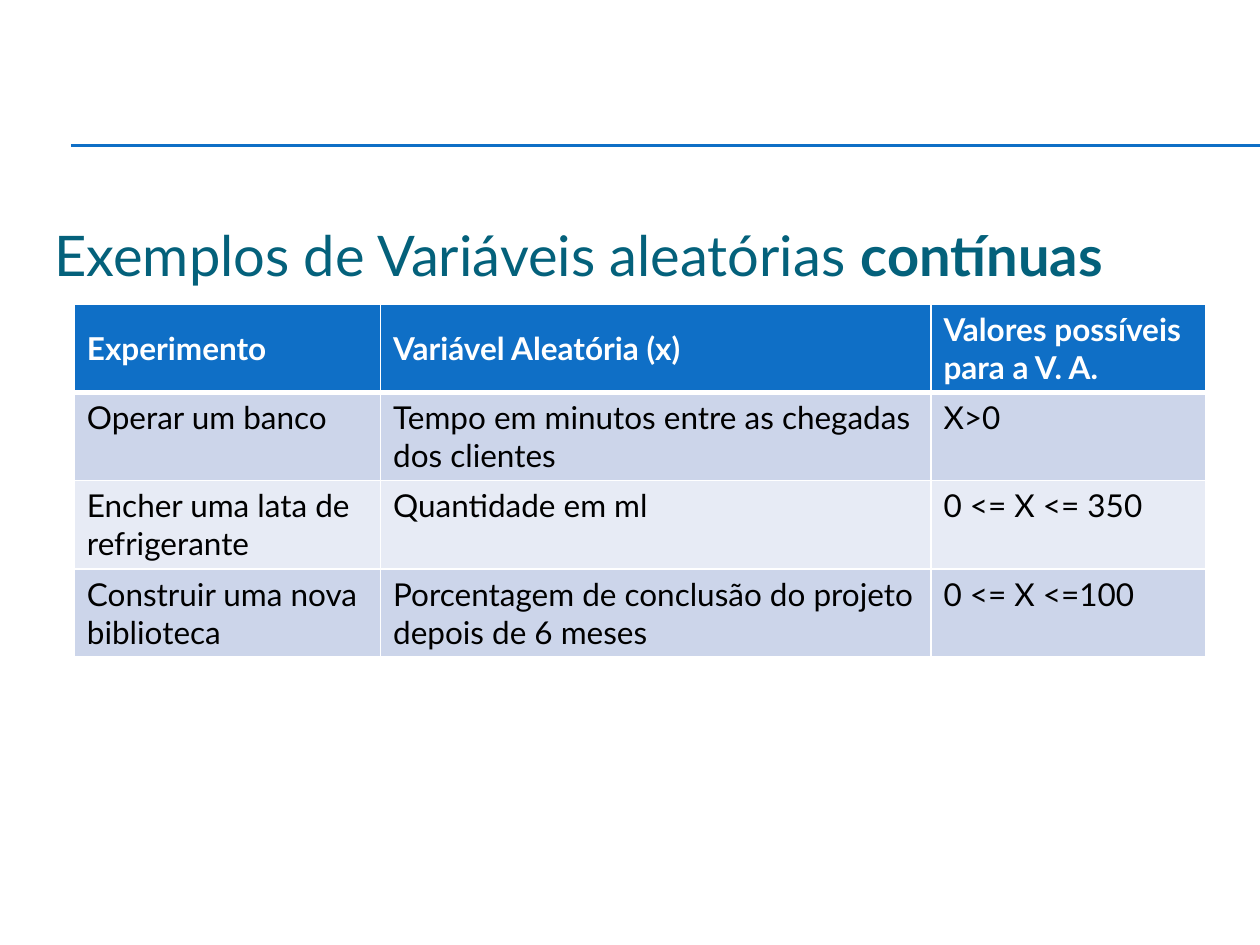
from lxml.etree import SubElement
from pptx import Presentation
from pptx.dml.color import RGBColor
from pptx.enum.shapes import MSO_CONNECTOR
from pptx.enum.text import MSO_ANCHOR
from pptx.oxml.ns import qn
from pptx.util import Pt

FONT = "Lato"
BLUE = RGBColor(0x0F, 0x6F, 0xC6)
TEAL = RGBColor(0x04, 0x61, 0x7B)
WHITE = RGBColor(0xFF, 0xFF, 0xFF)
BLACK = RGBColor(0x00, 0x00, 0x00)
BAND_DARK = RGBColor(0xCC, 0xD5, 0xEA)
BAND_LIGHT = RGBColor(0xE7, 0xEB, 0xF5)

COLUMN_WIDTHS = (175, 314.5, 157)
ROW_HEIGHT = 50
ROWS = (
    ("Experimento", "Variável Aleatória (x)", "Valores possíveis para a V. A."),
    ("Operar um banco", "Tempo em minutos entre as chegadas dos clientes", "X>0"),
    ("Encher uma lata de refrigerante", "Quantidade em ml", "0 <= X <= 350"),
    ("Construir uma nova biblioteca",
     "Porcentagem de conclusão do projeto depois de 6 meses", "0 <= X <=100"),
)


def style_span(span, size, color, bold=False):
    span.font.name = FONT
    span.font.size = Pt(size)
    span.font.color.rgb = color
    span.font.bold = bold


def add_rule(slide, top):
    rule = slide.shapes.add_connector(
        MSO_CONNECTOR.STRAIGHT, Pt(40.5), Pt(top), Pt(720), Pt(top))
    rule.line.color.rgb = BLUE
    rule.line.width = Pt(0.75)
    SubElement(rule.element.spPr, qn("a:effectLst"))


def add_heading(slide):
    box = slide.shapes.add_textbox(Pt(24), Pt(122.5), Pt(684), Pt(356.5))
    box.text_frame.word_wrap = True
    para = box.text_frame.paragraphs[0]
    for text, bold in (("Exemplos de Variáveis aleatórias ", False), ("contínuas", True)):
        span = para.add_run()
        span.text = text
        style_span(span, 32, TEAL, bold)


def set_borders(cell, bottom_width, top_width):
    properties = cell._tc.get_or_add_tcPr()
    widths = {"a:lnL": 1, "a:lnR": 1, "a:lnT": top_width, "a:lnB": bottom_width}
    for position, (tag, width) in enumerate(widths.items()):
        border = SubElement(properties, qn(tag), w=str(Pt(width)))
        fill = SubElement(border, qn("a:solidFill"))
        SubElement(fill, qn("a:srgbClr"), val=str(WHITE))
        # Borders come before the cell fill
        properties.insert(position, border)


def fill_cell(cell, text, row):
    header = row == 0
    cell.text_frame.text = text
    style_span(cell.text_frame.paragraphs[0].runs[0], 18,
               WHITE if header else BLACK, bold=header)
    cell.vertical_anchor = MSO_ANCHOR.MIDDLE if header else MSO_ANCHOR.TOP
    cell.fill.solid()
    cell.fill.fore_color.rgb = BLUE if header else BAND_DARK if row % 2 else BAND_LIGHT
    set_borders(cell, bottom_width=3 if header else 1, top_width=3 if row == 1 else 1)


def add_examples_table(slide):
    table = slide.shapes.add_table(
        len(ROWS), len(COLUMN_WIDTHS), Pt(42.5), Pt(173.75),
        Pt(sum(COLUMN_WIDTHS)), Pt(ROW_HEIGHT * len(ROWS))).table
    for column, width in zip(table.columns, COLUMN_WIDTHS):
        column.width = Pt(width)
    for row, texts in enumerate(ROWS):
        table.rows[row].height = Pt(ROW_HEIGHT)
        for column, text in enumerate(texts):
            fill_cell(table.cell(row, column), text, row)


def main():
    deck = Presentation()
    deck.slide_width, deck.slide_height = Pt(720), Pt(540)
    slide = deck.slides.add_slide(deck.slide_layouts[6])

    # Double rule across the top
    for top in (82.8, 83.4):
        add_rule(slide, top)

    # Heading and examples
    add_heading(slide)
    add_examples_table(slide)

    deck.save("out.pptx")


if __name__ == "__main__":
    main()
